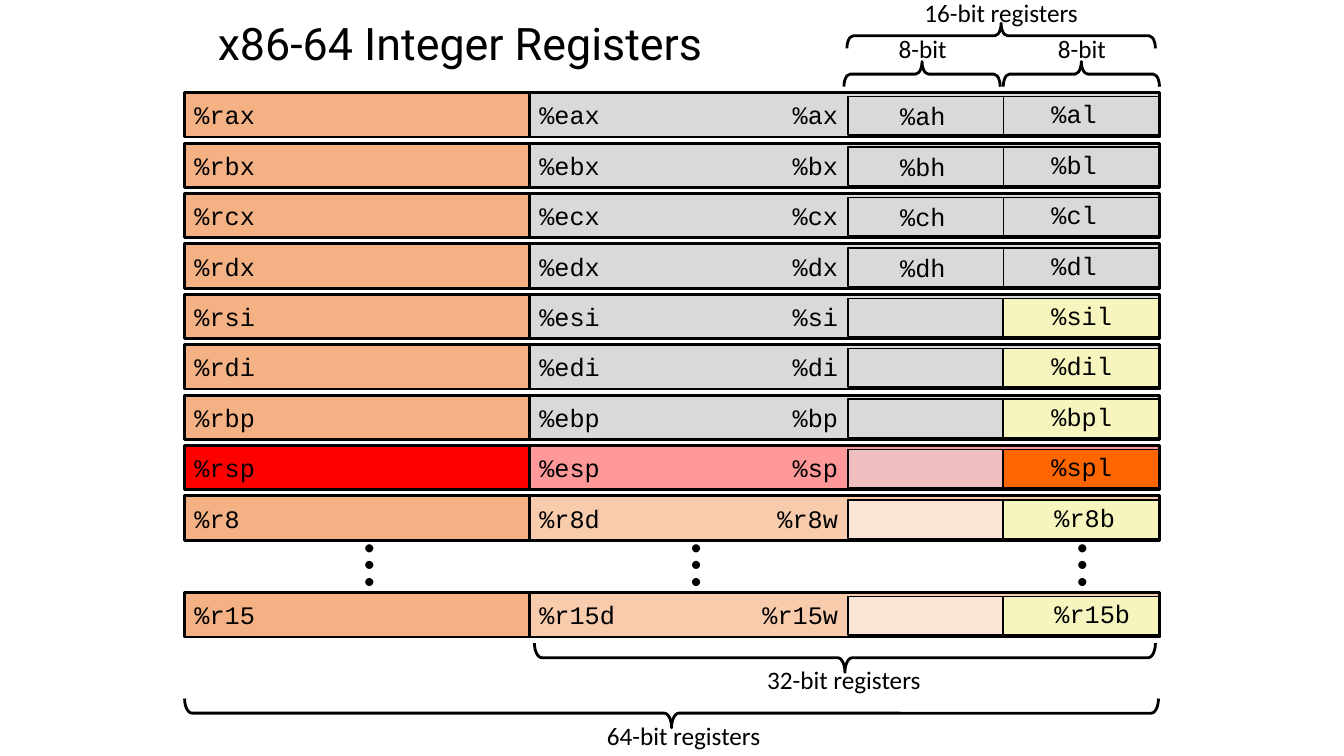
from dataclasses import dataclass

from lxml import etree
from pptx import Presentation
from pptx.dml.color import RGBColor
from pptx.enum.shapes import MSO_CONNECTOR, MSO_SHAPE
from pptx.enum.text import MSO_ANCHOR, MSO_AUTO_SIZE, PP_ALIGN
from pptx.oxml.ns import qn
from pptx.util import Inches, Pt

RECTANGLE = MSO_SHAPE.RECTANGLE
RIGHT_BRACE = MSO_SHAPE.RIGHT_BRACE
STRAIGHT = MSO_CONNECTOR.STRAIGHT
LEFT, CENTER, RIGHT = PP_ALIGN.LEFT, PP_ALIGN.CENTER, PP_ALIGN.RIGHT
MIDDLE, TOP = MSO_ANCHOR.MIDDLE, MSO_ANCHOR.TOP
GROW, FIXED = MSO_AUTO_SIZE.SHAPE_TO_FIT_TEXT, MSO_AUTO_SIZE.NONE
TITLE_ONLY = 5
UP, DOWN = 270, 90


@dataclass(frozen=True)
class Theme:
    ink: str = "000000"
    paper: str = "FFFFFF"
    orange: str = "F4B183"
    grey: str = "D9D9D9"
    peach: str = "F8CBAD"
    pale_peach: str = "FBE5D6"
    yellow: str = "F6F5BD"
    red: str = "FF0000"
    pink: str = "FF9999"
    pale_pink: str = "EFBFBF"
    vivid_orange: str = "FF6600"
    heading_font: str = "Roboto"
    code_font: str = "Courier New"
    label_font: str = "Calibri"
    title_size: int = 32
    text_size: int = 18
    dots_size: int = 48
    thick: int = 2
    thin: int = 1


THEME = Theme()
CLASSIC = (THEME.orange, THEME.grey, THEME.grey, THEME.yellow)
STACK = (THEME.red, THEME.pink, THEME.pale_pink, THEME.vivid_orange)
EXTENDED = (THEME.orange, THEME.peach, THEME.pale_peach, THEME.yellow)

REGISTERS = [
    ("%rax", "%eax", "%ax", "%ah", "%al", CLASSIC),
    ("%rbx", "%ebx", "%bx", "%bh", "%bl", CLASSIC),
    ("%rcx", "%ecx", "%cx", "%ch", "%cl", CLASSIC),
    ("%rdx", "%edx", "%dx", "%dh", "%dl", CLASSIC),
    ("%rsi", "%esi", "%si", None, "%sil", CLASSIC),
    ("%rdi", "%edi", "%di", None, "%dil", CLASSIC),
    ("%rbp", "%ebp", "%bp", None, "%bpl", CLASSIC),
    ("%rsp", "%esp", "%sp", None, "%spl", STACK),
    ("%r8", "%r8d", "%r8w", None, "%r8b", EXTENDED),
    ("%r15", "%r15d", "%r15w", None, "%r15b", EXTENDED),
]
FIRST_ROW, ROW_PITCH, LAST_ROW = 0.92, 0.5, 5.88
ROW_HEIGHT, CELL_HEIGHT = 0.44, 0.38
FULL_LEFT, HALF_LEFT, WORD_LEFT, RIGHT_EDGE = 1.83, 5.25, 8.41, 11.5
BYTE_WIDTH = 1.54
LOW_LEFT = WORD_LEFT + BYTE_WIDTH

BRACES = [
    (5.3, 6.38, 6.16, 0.29, DOWN, "32-bit registers", 8.37, 6.54, 1.78),
    (8.4, 0.23, 3.06, 0.25, UP, "16-bit registers", 9.93, -0.08, 1.78),
    (9.95, 0.61, 1.55, 0.25, UP, "8-bit", 10.73, 0.28, 0.69),
    (8.37, 0.61, 1.55, 0.25, UP, "8-bit", 9.15, 0.28, 0.69),
    (1.83, 6.93, 9.66, 0.29, DOWN, "64-bit registers", 6.78, 7.1, 1.78),
]
DOT_COLUMNS = [3.55, 6.79, 10.62]


class RegisterSlide:
    def __init__(self, page, theme):
        self.page = page
        self.theme = theme
        page.background.fill.solid()
        page.background.fill.fore_color.rgb = RGBColor.from_string(theme.paper)

    def set_text(self, shape, text, font, size, align=LEFT, anchor=TOP):
        frame = shape.text_frame
        frame.word_wrap = False
        frame.vertical_anchor = anchor
        para = frame.paragraphs[0]
        para.alignment = align
        span = para.add_run()
        span.text = text
        span.font.name = font
        span.font.size = Pt(size)
        span.font.color.rgb = RGBColor.from_string(self.theme.ink)
        return frame

    def outline(self, line, width):
        line.color.rgb = RGBColor.from_string(self.theme.ink)
        line.width = Pt(width)

    def title(self, text):
        title = self.page.shapes.title
        title.left, title.top = Inches(2.06), Inches(0.17)
        title.width, title.height = Inches(8.3), Inches(0.58)
        frame = self.set_text(title, text, self.theme.heading_font,
                              self.theme.title_size, anchor=MIDDLE)
        frame.word_wrap = True
        frame.auto_size = FIXED
        frame.paragraphs[0].line_spacing = 0.9

    def bar(self, left, top, width, height, fill, line_width, text=None):
        bar = self.page.shapes.add_shape(
            RECTANGLE, Inches(left), Inches(top), Inches(width), Inches(height))
        bar.shadow.inherit = False
        bar.fill.solid()
        bar.fill.fore_color.rgb = RGBColor.from_string(fill)
        self.outline(bar.line, line_width)
        if text:
            self.set_text(bar, text, self.theme.code_font,
                          self.theme.text_size, anchor=MIDDLE)
        return bar

    def divider(self, bar):
        middle = bar.left + bar.width // 2
        divider = self.page.shapes.add_connector(
            STRAIGHT, middle, bar.top, middle, bar.top + bar.height)
        divider.begin_connect(bar, 0)
        divider.end_connect(bar, 2)
        self.outline(divider.line, self.theme.thin)
        properties = divider.element.find(qn("p:spPr"))
        etree.SubElement(properties, qn("a:effectLst"))

    def label(self, left, top, width, height, text, font, size, align=LEFT, turn=0):
        box = self.page.shapes.add_textbox(
            Inches(left), Inches(top), Inches(width), Inches(height))
        box.rotation = turn
        self.set_text(box, text, font, size, align).auto_size = GROW

    def code(self, left, top, text, align=LEFT):
        width = 0.2 + 0.15 * len(text)
        if align == RIGHT:
            left -= width
        self.label(left, top, width, 0.4, text, self.theme.code_font,
                   self.theme.text_size, align)

    def brace(self, left, top, length, depth, turn):
        shift = (length - depth) / 2
        brace = self.page.shapes.add_shape(
            RIGHT_BRACE, Inches(left + shift), Inches(top - shift),
            Inches(depth), Inches(length))
        brace.rotation = turn
        brace.adjustments[0] = 0.25
        brace.shadow.inherit = False
        brace.fill.background()
        self.outline(brace.line, self.theme.thick)

    def register(self, top, full, half, word, high, low, fills):
        theme = self.theme
        full_fill, half_fill, word_fill, low_fill = fills
        for left, fill, text in ((FULL_LEFT, full_fill, full),
                                 (HALF_LEFT, half_fill, half)):
            self.bar(left, top, RIGHT_EDGE - left, ROW_HEIGHT, fill,
                     theme.thick, text)
        self.code(WORD_LEFT, top + 0.02, word, RIGHT)
        cell_top = top + 0.04
        cell = self.bar(WORD_LEFT, cell_top, 2 * BYTE_WIDTH, CELL_HEIGHT,
                        word_fill, theme.thin)
        if high:
            self.divider(cell)
            self.code(8.83, top + 0.03, high)
        else:
            self.bar(LOW_LEFT, cell_top, BYTE_WIDTH, CELL_HEIGHT, low_fill,
                     theme.thin)
        self.code(10.36 if fills == EXTENDED else 10.33, top + 0.01, low)


def main():
    deck = Presentation()
    deck.slide_width, deck.slide_height = Inches(13.33), Inches(7.5)
    page = deck.slides.add_slide(deck.slide_layouts[TITLE_ONLY])
    slide = RegisterSlide(page, THEME)
    slide.title("x86-64 Integer Registers")

    tops = [FIRST_ROW + ROW_PITCH * row for row in range(len(REGISTERS) - 1)]
    for top, names in zip(tops + [LAST_ROW], REGISTERS):
        slide.register(top, *names)
    for left in DOT_COLUMNS:
        slide.label(left, 5.17, 0.68, 0.91, "…", THEME.label_font,
                    THEME.dots_size, turn=DOWN)
    for left, top, length, depth, turn, text, center, text_top, width in BRACES:
        slide.brace(left, top, length, depth, turn)
        slide.label(center - width / 2, text_top, width, 0.4, text,
                    THEME.label_font, THEME.text_size, CENTER)
    deck.save("out.pptx")


if __name__ == "__main__":
    main()
